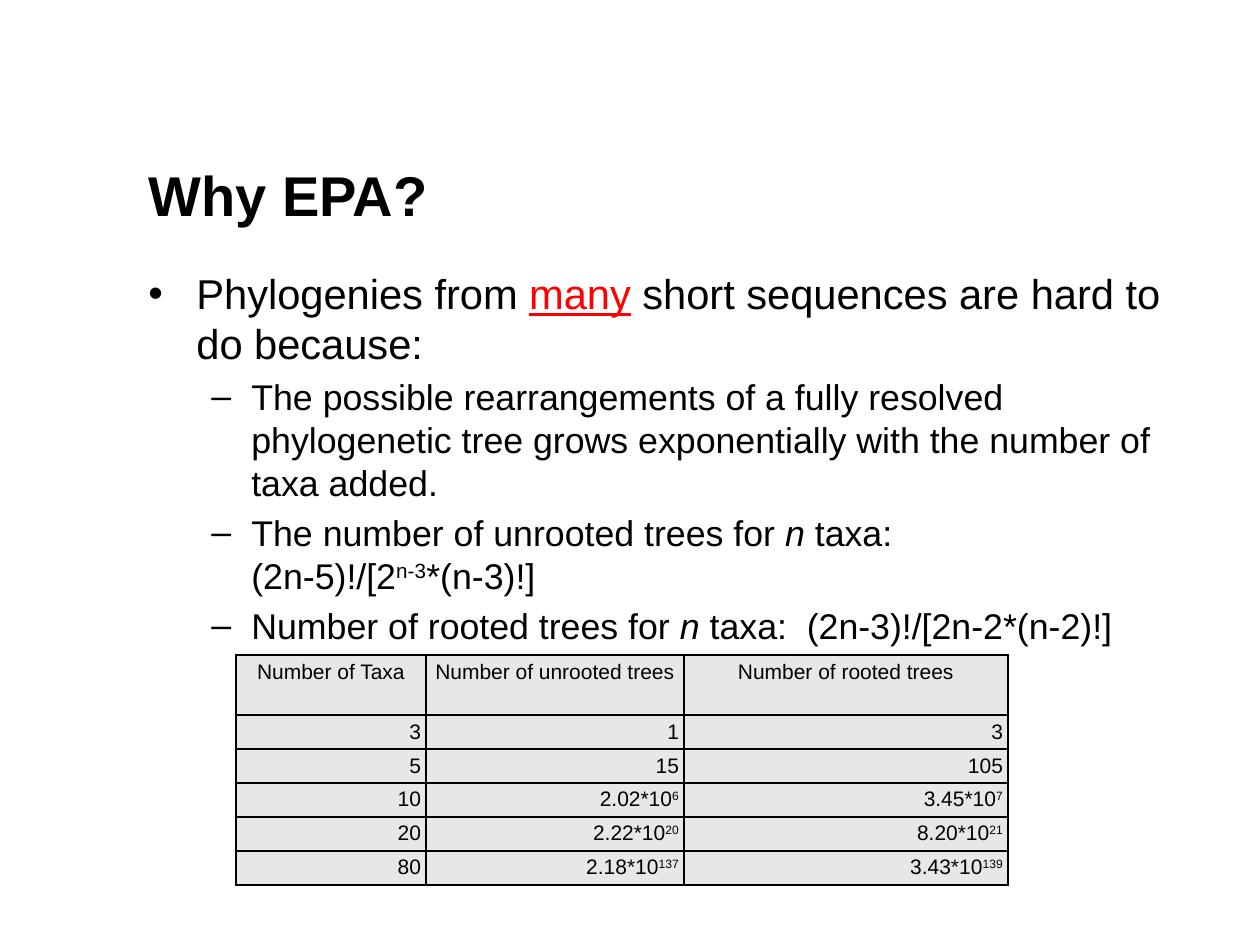
from lxml import etree
from pptx import Presentation
from pptx import util as u
from pptx.dml.color import RGBColor
from pptx.enum import text
from pptx.oxml import ns

FONT = "Arial"
COLORS = {"ink": "000000", "accent": "FF0000", "cell": "E7E7E7"}
COLUMN_WIDTHS = [190, 258, 324]
HEADER_HEIGHT, ROW_HEIGHT = 60, 34

# Each run is (text, style); each bullet is (level, runs).
BULLETS = [
    (0, [("Phylogenies from ", ""), ("many", "accent"),
         (" short sequences are hard to do because:", "")]),
    (1, [("The possible rearrangements of a fully resolved phylogenetic tree "
          "grows exponentially with the number of taxa added.", "")]),
    (1, [("The number of unrooted trees for ", ""), ("n", "italic"),
         (" taxa: (2n-5)!/[2", ""), ("n-3", "super"), ("*(n-3)!]", "")]),
    (1, [("Number of rooted trees for ", ""), ("n", "italic"),
         (" taxa:  (2n-3)!/[2n-2*(n-2)!]", "")]),
]
# Per level: bullet sign, text indent in px, hanging indent in px, font size
LEVELS = [("•", 48, 48, 23.8), ("–", 103, 40, 20.4)]

HEADERS = ["Number of Taxa", "Number of unrooted trees", "Number of rooted trees"]
# A caret marks the start of an exponent.
ROWS = [
    ["3", "1", "3"],
    ["5", "15", "105"],
    ["10", "2.02*10^6", "3.45*10^7"],
    ["20", "2.22*10^20", "8.20*10^21"],
    ["80", "2.18*10^137", "3.43*10^139"],
]


def px(length):
    return u.Emu(round(length * 914400 / 126))


def color(name):
    return RGBColor.from_string(COLORS[name])


def place(shape, left, top, width, height):
    shape.left, shape.top = px(left), px(top)
    shape.width, shape.height = px(width), px(height)


def set_font(paragraph, size, bold=False):
    font = paragraph.font
    font.name, font.size, font.bold = FONT, u.Pt(size), bold
    font.color.rgb = color("ink")


def add_runs(paragraph, runs):
    for content, style in runs:
        run = paragraph.add_run()
        run.text = content
        if style == "accent":
            run.font.color.rgb = color("accent")
            run.font.underline = True
        elif style == "italic":
            run.font.italic = True
        elif style == "super":
            run.font._element.set("baseline", "30000")


def add_title(slide, content):
    title = slide.shapes.title
    place(title, 136, 115, 1061, 158)
    title.text_frame.vertical_anchor = text.MSO_ANCHOR.MIDDLE
    title.text_frame.text = content
    paragraph = title.text_frame.paragraphs[0]
    paragraph.alignment = text.PP_ALIGN.LEFT
    set_font(paragraph, 32, bold=True)


def add_bullet(paragraph, level):
    sign, indent, hanging, size = LEVELS[level]
    paragraph.level = level
    properties = paragraph._p.get_or_add_pPr()
    properties.set("marL", str(px(indent)))
    properties.set("indent", str(-px(hanging)))
    etree.SubElement(properties, ns.qn("a:buFont")).set("typeface", FONT)
    etree.SubElement(properties, ns.qn("a:buChar")).set("char", sign)
    set_font(paragraph, size)


def add_bullets(slide):
    box = slide.shapes.add_textbox(px(136), px(262), px(1061), px(430))
    frame = box.text_frame
    frame.word_wrap = True
    for index, (level, runs) in enumerate(BULLETS):
        paragraph = frame.add_paragraph() if index else frame.paragraphs[0]
        if index:
            paragraph.space_before = u.Pt(4)
        add_bullet(paragraph, level)
        add_runs(paragraph, runs)


def add_borders(cell):
    """Put a thin line on all four sides; call before the cell is filled."""
    properties = cell._tc.get_or_add_tcPr()
    for side in ("a:lnL", "a:lnR", "a:lnT", "a:lnB"):
        line = etree.SubElement(properties, ns.qn(side), w=str(u.Pt(1)))
        fill = etree.SubElement(line, ns.qn("a:solidFill"))
        etree.SubElement(fill, ns.qn("a:srgbClr"), val=COLORS["ink"])


def fill_cell(cell, content, alignment):
    cell.margin_left = cell.margin_right = px(5)
    cell.margin_top, cell.margin_bottom = px(5), px(3)
    add_borders(cell)
    cell.fill.solid()
    cell.fill.fore_color.rgb = color("cell")
    paragraph = cell.text_frame.paragraphs[0]
    paragraph.alignment = alignment
    set_font(paragraph, 12)
    base, _, exponent = content.partition("^")
    add_runs(paragraph, [(base, "")] + ([(exponent, "super")] if exponent else []))


def add_tree_table(slide):
    height = HEADER_HEIGHT + ROW_HEIGHT * len(ROWS)
    frame = slide.shapes.add_table(len(ROWS) + 1, len(HEADERS), px(236), px(655),
                                   px(sum(COLUMN_WIDTHS)), px(height))
    table = frame.table
    table.first_row = table.horz_banding = False
    for column, width in zip(table.columns, COLUMN_WIDTHS):
        column.width = px(width)
    for row_index, values in enumerate([HEADERS] + ROWS):
        table.rows[row_index].height = px(ROW_HEIGHT if row_index else HEADER_HEIGHT)
        alignment = text.PP_ALIGN.RIGHT if row_index else text.PP_ALIGN.CENTER
        for column_index, content in enumerate(values):
            fill_cell(table.cell(row_index, column_index), content, alignment)


def main():
    presentation = Presentation()
    presentation.slide_width, presentation.slide_height = px(1260), px(945)
    slide = presentation.slides.add_slide(presentation.slide_layouts[5])
    add_title(slide, "Why EPA?")
    add_bullets(slide)
    add_tree_table(slide)
    presentation.save("out.pptx")


if __name__ == "__main__":
    main()
